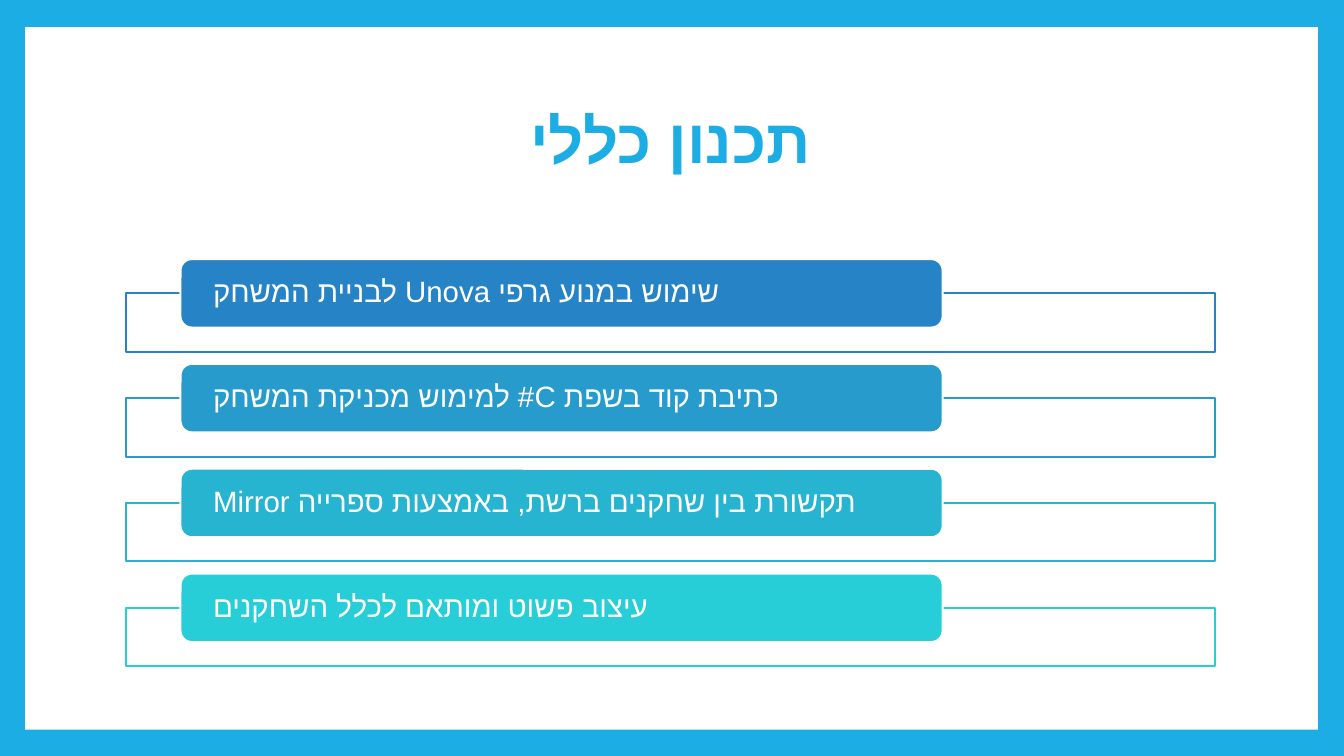
from pptx import Presentation
from pptx.dml.color import RGBColor
from pptx.enum.shapes import MSO_SHAPE as Shape
from pptx.enum.text import MSO_ANCHOR as Anchor, PP_ALIGN as Align
from pptx.oxml.ns import qn
from pptx.util import Inches, Pt
from lxml.etree import SubElement

FONT = "Arial"
SKY = "1CADE4"
WHITE = "FFFFFF"
FIRST_TOP, ROW_STEP = 2.57, 1.04
PLAN = [
    ("שימוש במנוע גרפי Unova לבניית המשחק", "2683C6"),
    ("כתיבת קוד בשפת C# למימוש מכניקת המשחק", "269BCC"),
    ("תקשורת בין שחקנים ברשת, באמצעות ספרייה Mirror", "27B4D1"),
    ("עיצוב פשוט ומותאם לכלל השחקנים", "27CED7"),
]


def paint(fill, color):
    """Give a fill one solid colour."""
    fill.solid()
    fill.fore_color.rgb = RGBColor.from_string(color)


def write(frame, text, *, size, color, bold=False, inset=0.1, inset_y=0.05):
    """Write one right-to-left paragraph set against the left edge."""
    frame.word_wrap = True
    frame.vertical_anchor = Anchor.MIDDLE
    frame.margin_left = frame.margin_right = Inches(inset)
    frame.margin_top = frame.margin_bottom = Inches(inset_y)
    para = frame.paragraphs[0]
    para.alignment = Align.LEFT
    para.line_spacing = 0.9
    para._p.get_or_add_pPr().set("rtl", "1")
    span = para.add_run()
    span.text = text
    span.font.name = FONT
    span.font.size = Pt(size)
    span.font.bold = bold
    paint(span.font.fill, color)
    SubElement(span.font._element, qn("a:cs"), typeface=FONT)


def add_box(page, kind, left, top, width, height, fill, line=None, opacity=None):
    """Add a flat filled shape, with an outline if a line colour is given."""
    box = page.shapes.add_shape(
        kind, Inches(left), Inches(top), Inches(width), Inches(height))
    box.shadow.inherit = False
    paint(box.fill, fill)
    if opacity is not None:
        color = box.fill._xPr.find(qn("a:solidFill"))[0]
        SubElement(color, qn("a:alpha"), val=str(opacity * 1000))
    if line:
        paint(box.line.fill, line)
        box.line.width = Pt(1.5)
    else:
        box.line.fill.background()
    return box


def add_backdrop(page):
    """Colour the page border and lay the white panel behind everything."""
    paint(page.background.fill, SKY)
    panel = add_box(page, Shape.RECTANGLE, 0.25, 0.27, 12.82, 6.97, WHITE)
    page.shapes._spTree.insert(2, panel._element)


def add_title(page, text):
    """Place and format the title placeholder."""
    title = page.shapes.title
    title.left, title.top = Inches(5.16), Inches(0.68)
    title.width, title.height = Inches(10.8), Inches(1.48)
    write(title.text_frame, text, size=44, color=SKY, bold=True)


def add_plan_row(page, top, text, color):
    """Add an outlined frame with a rounded label over its upper edge."""
    add_box(page, Shape.RECTANGLE, 1.25, top + 0.34, 10.8, 0.58, WHITE,
            line=color, opacity=90)
    label = add_box(page, Shape.ROUNDED_RECTANGLE, 1.79, top, 7.56, 0.68,
                    color, line=WHITE)
    write(label.text_frame, text, size=21, color=WHITE, inset=0.29, inset_y=0)


def main():
    """Build the slide and save the deck."""
    deck = Presentation()
    deck.slide_width, deck.slide_height = Inches(13.33), Inches(7.5)
    page = deck.slides.add_slide(deck.slide_layouts.get_by_name("Title Only"))
    add_backdrop(page)
    add_title(page, "תכנון כללי")
    for index, (text, color) in enumerate(PLAN):
        add_plan_row(page, FIRST_TOP + index * ROW_STEP, text, color)
    deck.save("out.pptx")


if __name__ == "__main__":
    main()
